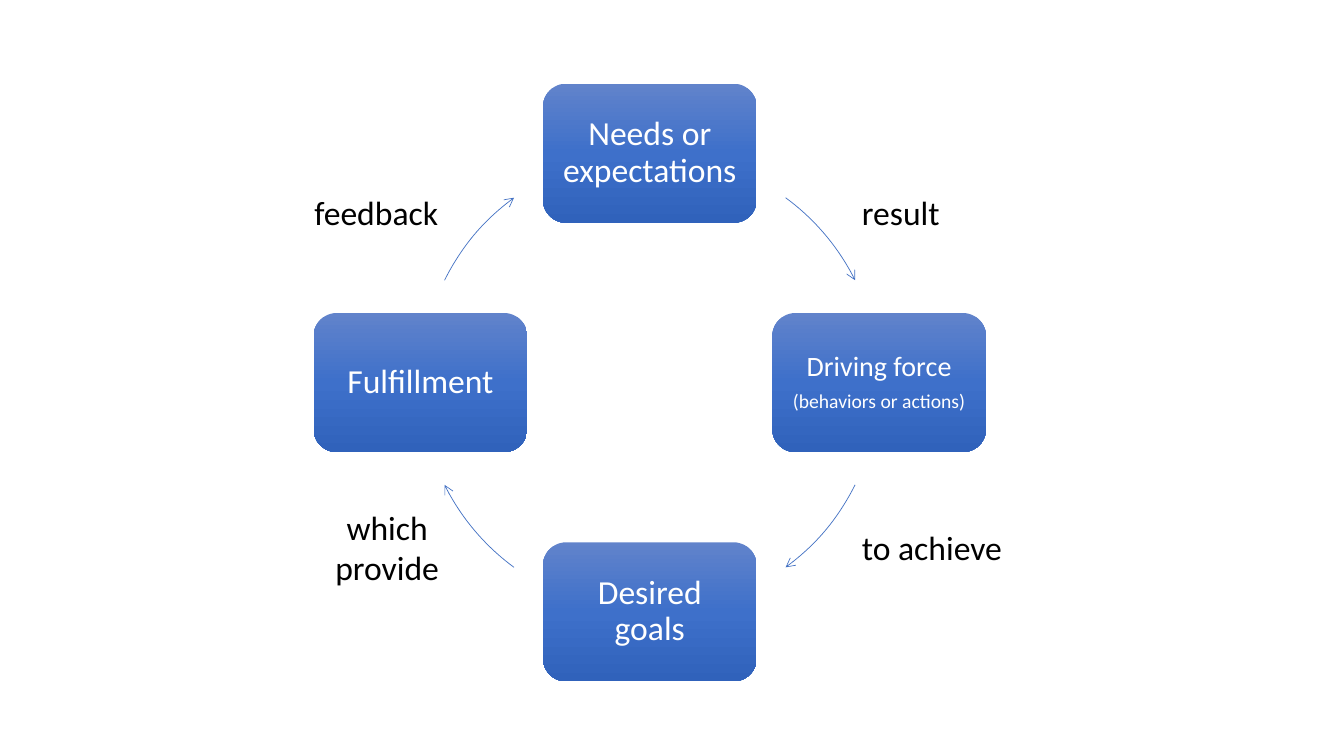
from copy import deepcopy

from lxml.etree import SubElement
from pptx import Presentation
from pptx.dml.color import RGBColor
from pptx.enum.shapes import MSO_SHAPE as SHAPE
from pptx.enum.text import MSO_ANCHOR as ANCHOR, MSO_AUTO_SIZE as AUTO_SIZE, PP_ALIGN as ALIGN
from pptx.oxml.ns import qn
from pptx.util import Pt

EMU_PER_PX = 9144
FONT = "Calibri"
BLUE_STOPS = [(0, "6183CB"), (0.5, "3E70CA"), (1, "3062BB")]
STEP_SIZE = (212, 138)
ARC_SWEEP = 27.2

# Clockwise from the top: direction from the centre, lines of (text, size)
STEPS = [
    ((0, -1), [("Needs or expectations", 24)]),
    ((1, 0), [("Driving force", 20), ("(behaviors or actions)", 14)]),
    ((0, 1), [("Desired goals", 24)]),
    ((-1, 0), [("Fulfillment", 24)]),
]
# Degrees clockwise from three o'clock
ARC_STARTS = [306.3, 26.5, 126.3, 206.5]
LABELS = [
    ("result", (845, 185, 98, 50), ALIGN.LEFT),
    ("to achieve", (845, 518, 161, 50), ALIGN.LEFT),
    ("which\vprovide", (322, 498, 124, 91), ALIGN.CENTER),
    ("feedback", (302, 185, 144, 50), ALIGN.LEFT),
]


def px(*lengths):
    return [round(length * EMU_PER_PX) for length in lengths]


def color(hex_string):
    return RGBColor.from_string(hex_string)


def style(paragraph, size, hex_color, align):
    paragraph.alignment = align
    paragraph.font.name = FONT
    paragraph.font.size = Pt(size)
    paragraph.font.color.rgb = color(hex_color)


def fill_blue_gradient(shape):
    shape.fill.gradient()
    shape.fill.gradient_angle = 270
    stop_list = shape._element.spPr.find(".//" + qn("a:gsLst"))
    stop_list.append(deepcopy(stop_list[0]))
    for stop, (position, hex_color) in zip(shape.fill.gradient_stops, BLUE_STOPS):
        stop.position = position
        stop.color.rgb = color(hex_color)


def add_step(slide, box, lines):
    step = slide.shapes.add_shape(SHAPE.ROUNDED_RECTANGLE, *px(*box))
    step.shadow.inherit = False
    step.line.fill.background()
    fill_blue_gradient(step)
    frame = step.text_frame
    frame.word_wrap = True
    frame.vertical_anchor = ANCHOR.MIDDLE
    frame.margin_left, frame.margin_right = px(10, 10)
    for index, (text, size) in enumerate(lines):
        paragraph = frame.add_paragraph() if index else frame.paragraphs[0]
        paragraph.text = text
        paragraph.line_spacing = 0.9
        if index:
            paragraph.space_before = Pt(7)
        style(paragraph, size, "FFFFFF", ALIGN.CENTER)


def add_arc_arrow(slide, box, start):
    arc = slide.shapes.add_shape(SHAPE.ARC, *px(*box))
    # Angles are stored in 60000ths of a degree, adjustments in 100000ths
    arc.adjustments[0] = start * 0.6
    arc.adjustments[1] = (start + ARC_SWEEP) * 0.6
    arc.shadow.inherit = False
    arc.fill.background()
    arc.line.color.rgb = color("4472C4")
    arc.line.width = Pt(0.5)
    SubElement(arc._element.spPr.get_or_add_ln(), qn("a:tailEnd"), type="arrow")


def add_label(slide, box, text, align):
    frame = slide.shapes.add_textbox(*px(*box)).text_frame
    frame.word_wrap = False
    frame.auto_size = AUTO_SIZE.SHAPE_TO_FIT_TEXT
    frame.text = text
    style(frame.paragraphs[0], 24, "000000", align)


def add_cycle(slide, box):
    """Set the steps on the sides of the square box, with arcs between them."""
    left, top, side, _ = box
    radius = side / 2
    width, height = STEP_SIZE
    for ((across, down), lines), start in zip(STEPS, ARC_STARTS):
        step_left = left + radius * (1 + across) - width / 2
        step_top = top + radius * (1 + down) - height / 2
        add_step(slide, (step_left, step_top, width, height), lines)
        add_arc_arrow(slide, box, start)


def main():
    deck = Presentation()
    deck.slide_width, deck.slide_height = px(1333, 750)
    slide = deck.slides.add_slide(deck.slide_layouts[6])
    add_cycle(slide, (417, 152, 455, 455))
    for text, box, align in LABELS:
        add_label(slide, box, text, align)
    deck.save("out.pptx")


if __name__ == "__main__":
    main()
